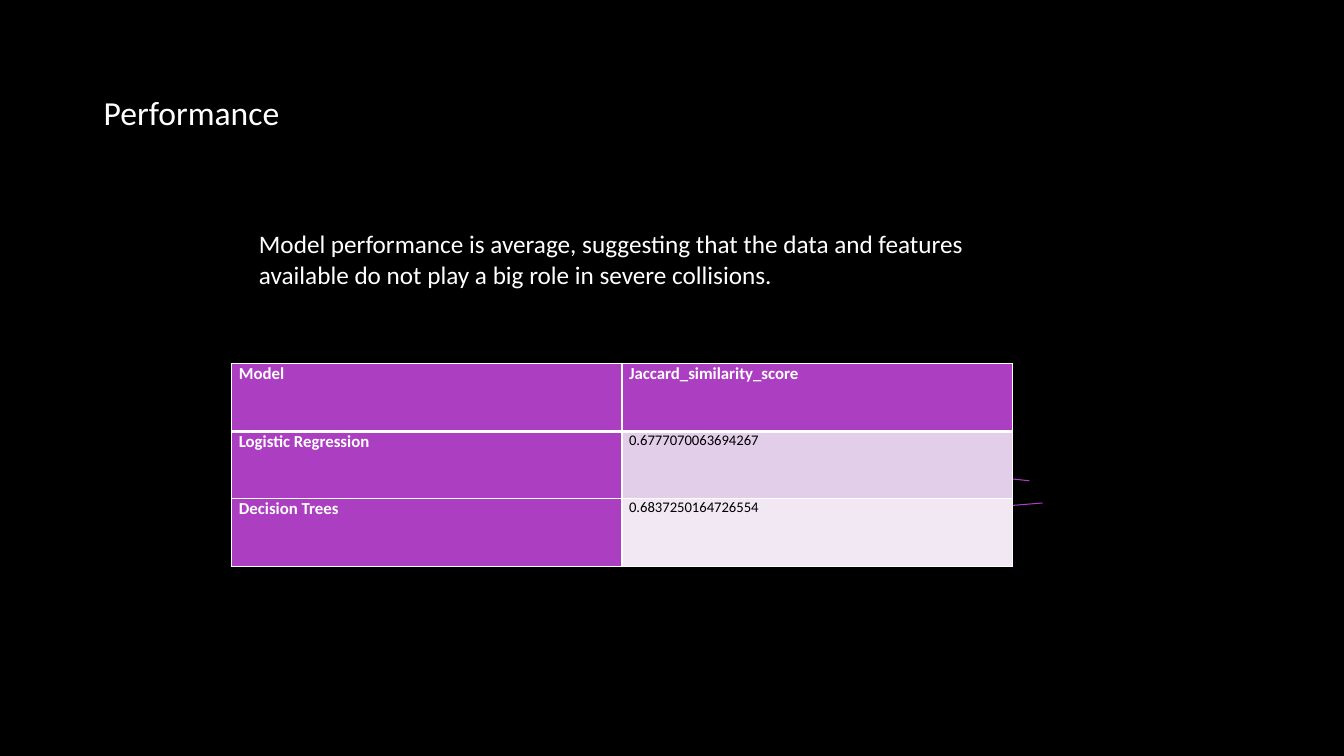
from lxml import etree
from pptx import Presentation
from pptx.dml.color import RGBColor
from pptx.enum.shapes import MSO_CONNECTOR
from pptx.oxml.ns import qn
from pptx.util import Pt

EMU_PER_PX = 9144  # 100 px to the inch
STRAIGHT = MSO_CONNECTOR.STRAIGHT
FONT = "Calibri"
COLORS = {
    "background": "000000",
    "light": "FFFFFF",
    "dark": "000000",
    "purple": "AC3EC1",
    "band_1": "E3CEE9",
    "band_2": "F1E8F4",
}
SCORES = [
    ("Model", "Jaccard_similarity_score"),
    ("Logistic Regression", "0.6777070063694267"),
    ("Decision Trees", "0.6837250164726554"),
]


def px(length):
    return length * EMU_PER_PX


def color(name):
    return RGBColor.from_string(COLORS[name])


def set_text(text_frame, text, size, color_name, bold=False):
    text_frame.text = text
    font = text_frame.paragraphs[0].runs[0].font
    font.name, font.size, font.bold = FONT, Pt(size), bold
    font.color.rgb = color(color_name)


def add_text(slide, left, top, width, height, text, size):
    box = slide.shapes.add_textbox(px(left), px(top), px(width), px(height))
    box.text_frame.word_wrap = True
    set_text(box.text_frame, text, size, "light")


def add_arrow(slide, start, end):
    arrow = slide.shapes.add_connector(STRAIGHT, *map(px, start + end))
    arrow.line.color.rgb = color("purple")
    arrow.line.width = Pt(0.75)
    etree.SubElement(arrow.line._get_or_add_ln(), qn("a:tailEnd"), type="triangle")
    etree.SubElement(arrow._element.spPr, qn("a:effectLst"))


def set_borders(cell, top, bottom):
    properties = cell._tc.get_or_add_tcPr()
    for side, width in (("L", 1), ("R", 1), ("T", top), ("B", bottom)):
        line = etree.SubElement(properties, qn(f"a:ln{side}"), w=str(Pt(width)))
        fill = etree.SubElement(line, qn("a:solidFill"))
        etree.SubElement(fill, qn("a:srgbClr"), val=COLORS["light"])


def add_score_table(slide, left, top, column_width, row_height):
    row_count, column_count = len(SCORES), len(SCORES[0])
    table = slide.shapes.add_table(
        row_count, column_count, px(left), px(top),
        px(column_width * column_count), px(row_height * row_count),
    ).table
    for row, texts in enumerate(SCORES):
        for column, text in enumerate(texts):
            cell = table.cell(row, column)
            cell.margin_left = cell.margin_right = px(7)
            cell.margin_top = cell.margin_bottom = 0
            # A thick rule separates the header from the scores
            set_borders(cell, top=3 if row == 1 else 1, bottom=3 if row == 0 else 1)
            cell.fill.solid()
            if row == 0 or column == 0:
                cell.fill.fore_color.rgb = color("purple")
                set_text(cell.text_frame, text, 12, "light", bold=True)
            else:
                cell.fill.fore_color.rgb = color(f"band_{row}")
                set_text(cell.text_frame, text, 10.5, "dark")


def main():
    presentation = Presentation()
    presentation.slide_width, presentation.slide_height = px(1333), px(750)
    slide = presentation.slides.add_slide(presentation.slide_layouts[6])
    slide.background.fill.solid()
    slide.background.fill.fore_color.rgb = color("background")

    # Title and finding
    add_text(slide, 93, 86, 1025, 50, "Performance", 24)
    add_text(
        slide, 247, 222, 808, 71,
        "Model performance is average, suggesting that the data and features "
        "available do not play a big role in severe collisions.", 18,
    )

    # Arrows running in behind the table
    add_arrow(slide, (1034, 499), (593, 535))
    add_arrow(slide, (1021, 477), (734, 446))

    # Model scores
    add_score_table(slide, 230, 361, 387, 67)

    presentation.save("out.pptx")


if __name__ == "__main__":
    main()
